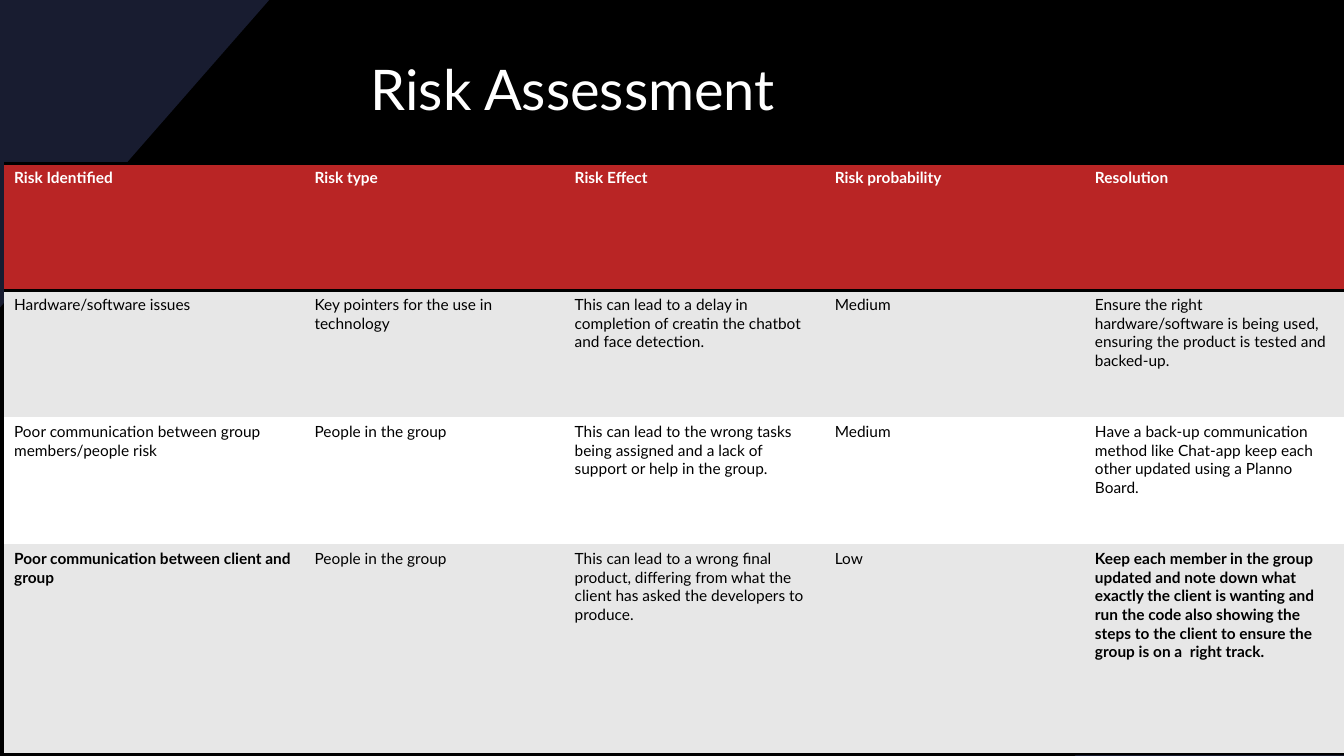
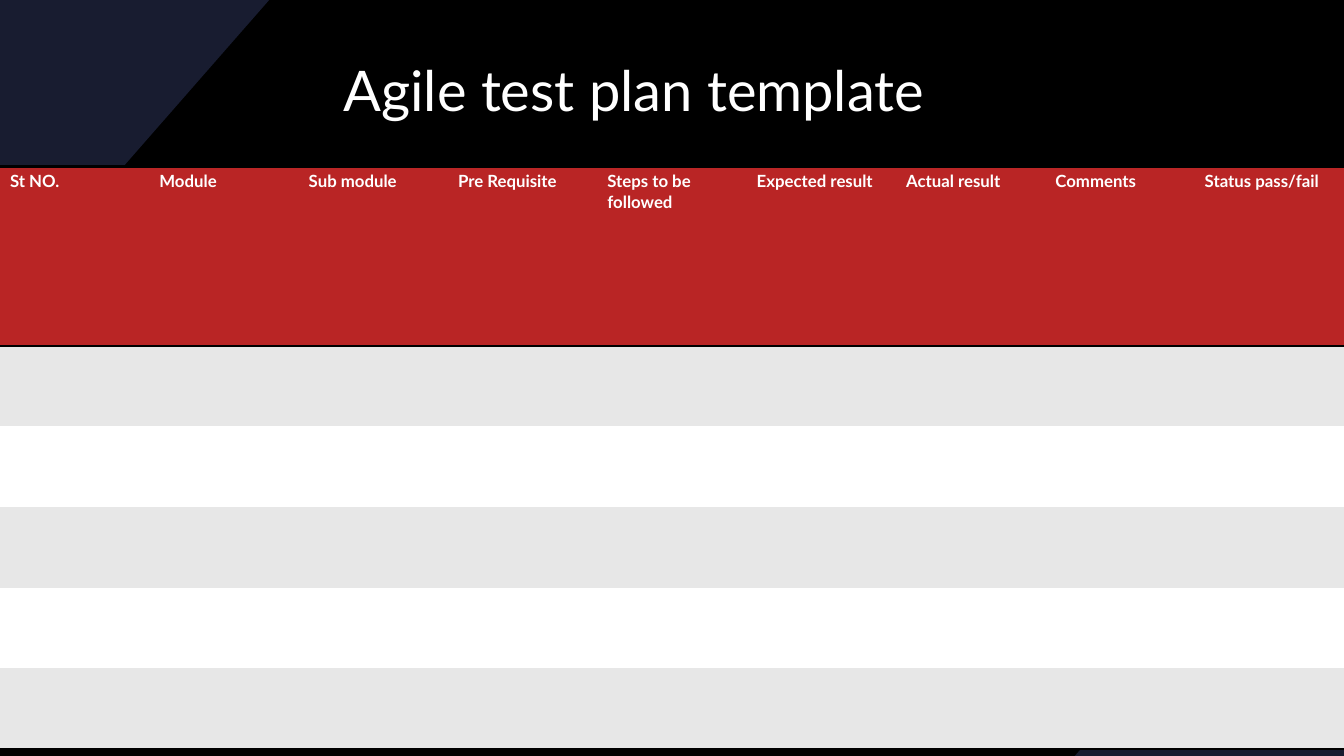
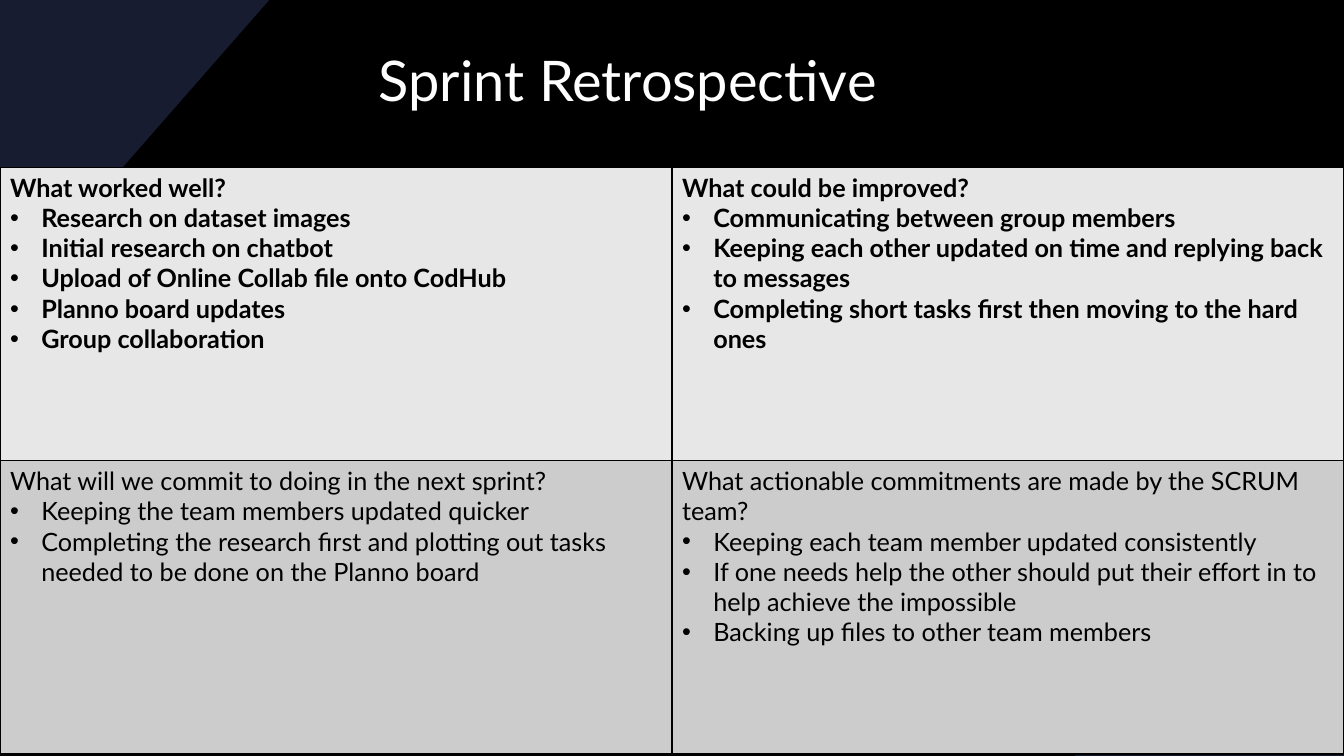
from lxml.etree import SubElement
from pptx import Presentation
from pptx.dml.color import RGBColor
from pptx.enum.text import MSO_ANCHOR
from pptx.oxml import parse_xml
from pptx.oxml.ns import nsdecls, qn
from pptx.util import Inches, Pt

# Shared look
BLACK = RGBColor(0x00, 0x00, 0x00)
WHITE = RGBColor(0xFF, 0xFF, 0xFF)
NAVY = RGBColor(0x18, 0x1C, 0x30)
RED = RGBColor(0xB9, 0x25, 0x25)
LIGHT_GREY = RGBColor(0xE7, 0xE7, 0xE7)
MID_GREY = RGBColor(0xCC, 0xCC, 0xCC)
FONT = "Lato"
PAGE_WIDTH, PAGE_HEIGHT = 13.33, 7.5
CORNER_WIDTH, CORNER_HEIGHT = 2.67, 3.05
BULLET_INDENT = 0.31

# Slide content
RISK_HEADS = ["Risk Identified", "Risk type", "Risk Effect",
              "Risk probability", "Resolution"]
RISKS = [
    ["Hardware/software issues",
     "Key pointers for the use in technology",
     "This can lead to a delay in completion of creatin the chatbot "
     "and face detection.",
     "Medium",
     "Ensure the right hardware/software is being used, ensuring the "
     "product is tested and backed-up."],
    ["Poor communication between group members/people risk",
     "People in the group",
     "This can lead to the wrong tasks being assigned and a lack of "
     "support or help in the group.",
     "Medium",
     "Have a back-up communication method like Chat-app keep each other "
     "updated using a Planno Board."],
    ["Poor communication between client and group",
     "People in the group",
     "This can lead to a wrong final product, differing from what the "
     "client has asked the developers to produce.",
     "Low",
     "Keep each member in the group updated and note down what exactly the "
     "client is wanting and run the code also showing the steps to the "
     "client to ensure the group is on a  right track."],
]
BOLD_RISK_CELLS = {(3, 0), (3, 4)}

TEST_HEADS = ["St NO.", "Module", "Sub module", "Pre Requisite",
              "Steps to be followed", "Expected result", "Actual result",
              "Comments", "Status pass/fail"]
EMPTY_TEST_ROWS = 5

RETROSPECTIVE = [
    [("What worked well?",
      ["Research on dataset images",
       "Initial research on chatbot",
       "Upload of Online Collab file onto CodHub",
       "Planno board updates",
       "Group collaboration"]),
     ("What could be improved?",
      ["Communicating between group members",
       "Keeping each other updated on time and replying back to messages",
       "Completing short tasks first then moving to the hard ones"])],
    [("What will we commit to doing in the next sprint?",
      ["Keeping the team members updated quicker",
       "Completing the research first and plotting out tasks needed to be "
       "done on the Planno board"]),
     ("What actionable commitments are made by the SCRUM team?",
      ["Keeping each team member updated consistently",
       "If one needs help the other should put their effort in to help "
       "achieve the impossible",
       "Backing up files to other team members"])],
]


def style_paragraph(para, size, color, bold=False):
    para.font.name = FONT
    para.font.size = Pt(size)
    para.font.color.rgb = color
    para.font.bold = bold


def add_corner(page, x, y, run, rise):
    """Right triangle with its square corner at x, y."""
    outline = page.shapes.build_freeform(Inches(x), Inches(y))
    outline.add_line_segments([(Inches(x + run), Inches(y)),
                               (Inches(x), Inches(y + rise))])
    corner = outline.convert_to_shape()
    corner.shadow.inherit = False
    corner.fill.solid()
    corner.fill.fore_color.rgb = NAVY
    corner.line.fill.background()


def add_page(deck, title, left, top, width, height):
    """Page with the two corners and a title in the given box."""
    page = deck.slides.add_slide(deck.slide_layouts[6])
    add_corner(page, PAGE_WIDTH, PAGE_HEIGHT, -CORNER_WIDTH, -CORNER_HEIGHT)
    add_corner(page, 0, 0, CORNER_WIDTH, CORNER_HEIGHT)
    box = page.shapes.add_textbox(Inches(left), Inches(top),
                                  Inches(width), Inches(height))
    frame = box.text_frame
    frame.word_wrap = True
    frame.vertical_anchor = MSO_ANCHOR.MIDDLE
    frame.text = title
    style_paragraph(frame.paragraphs[0], 40, WHITE)
    return page


def add_grid(page, left, top, columns, rows):
    """Plain table with the given column widths and row heights."""
    table = page.shapes.add_table(
        len(rows), len(columns), Inches(left), Inches(top),
        Inches(sum(columns)), Inches(sum(rows))).table
    table.first_row = table.horz_banding = False
    for column, width in zip(table.columns, columns):
        column.width = Inches(width)
    for row, height in zip(table.rows, rows):
        row.height = Inches(height)
    return table


def paint_cell(cell, color, sides, weight):
    """Fill a cell and draw black borders on the named sides only."""
    cell.fill.solid()
    cell.fill.fore_color.rgb = color
    properties = cell._tc.get_or_add_tcPr()
    for position, side in enumerate("LRTB"):
        if side in sides:
            paint = f'<a:solidFill><a:srgbClr val="{BLACK}"/></a:solidFill>'
        else:
            paint = "<a:noFill/>"
        properties.insert(position, parse_xml(
            f'<a:ln{side} {nsdecls("a")} w="{Pt(weight)}">{paint}</a:ln{side}>'))


def add_banded_table(page, left, top, columns, rows, texts, size,
                     bold_cells=()):
    """Red heading row over grey and white bands."""
    table = add_grid(page, left, top, columns, rows)
    last = len(rows) - 1
    for r, row_texts in enumerate(texts):
        band = RED if r == 0 else LIGHT_GREY if r % 2 else WHITE
        sides = ("T" if r < 2 else "") + ("B" if r in (0, last) else "")
        for c, text in enumerate(row_texts):
            cell = table.cell(r, c)
            paint_cell(cell, band, sides, 2)
            if text:
                cell.text = text
                style_paragraph(cell.text_frame.paragraphs[0], size,
                                WHITE if r == 0 else BLACK,
                                r == 0 or (r, c) in bold_cells)


def add_bullet(para):
    properties = para._p.get_or_add_pPr()
    properties.set("marL", str(Inches(BULLET_INDENT)))
    properties.set("indent", str(-Inches(BULLET_INDENT)))
    SubElement(properties, qn("a:buFont")).set("typeface", "Arial")
    SubElement(properties, qn("a:buChar")).set("char", "•")


def add_question_table(page, left, top, columns, rows, quadrants):
    """Boxed questions, each with bulleted answers."""
    table = add_grid(page, left, top, columns, rows)
    for r, questions in enumerate(quadrants):
        for c, (question, answers) in enumerate(questions):
            cell = table.cell(r, c)
            paint_cell(cell, MID_GREY if r else LIGHT_GREY, "LRTB", 1)
            frame = cell.text_frame
            frame.text = question
            for answer in answers:
                para = frame.add_paragraph()
                para.text = answer
                add_bullet(para)
            for para in frame.paragraphs:
                style_paragraph(para, 18, BLACK, r == 0)


def add_risk_page(deck):
    page = add_page(deck, "Risk Assessment", 3.58, 0.13, 9.5, 1.49)
    add_banded_table(page, 0.04, 1.62, [2.98] + [2.58] * 4,
                     [1.26] * 3 + [2.08], [RISK_HEADS] + RISKS, 11,
                     BOLD_RISK_CELLS)


def add_test_plan_page(deck):
    page = add_page(deck, "Agile test plan template", 3.31, 0.22, 6.24, 1.32)
    count = len(TEST_HEADS)
    blanks = [[""] * count] * EMPTY_TEST_ROWS
    add_banded_table(page, 0, 1.65, [PAGE_WIDTH / count] * count,
                     [1.78] + [0.8] * EMPTY_TEST_ROWS,
                     [TEST_HEADS] + blanks, 12)


def add_retrospective_page(deck):
    page = add_page(deck, "Sprint Retrospective", 3.66, 0.04, 9.5, 1.49)
    add_question_table(page, 0, 1.66, [PAGE_WIDTH / 2] * 2, [2.91] * 2,
                       RETROSPECTIVE)


def main():
    deck = Presentation()
    deck.slide_width = Inches(PAGE_WIDTH)
    deck.slide_height = Inches(PAGE_HEIGHT)
    backdrop = deck.slide_master.background.fill
    backdrop.solid()
    backdrop.fore_color.rgb = BLACK
    add_risk_page(deck)
    add_test_plan_page(deck)
    add_retrospective_page(deck)
    deck.save("out.pptx")


if __name__ == "__main__":
    main()
